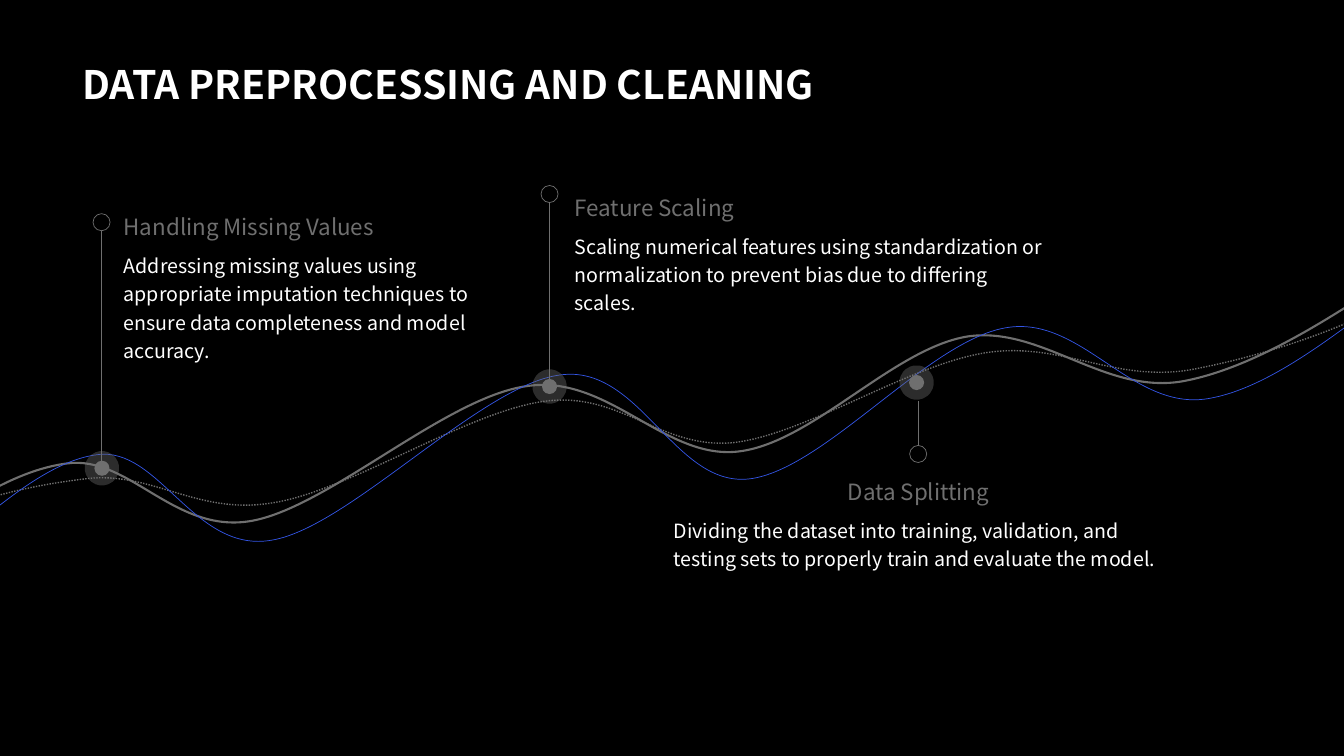
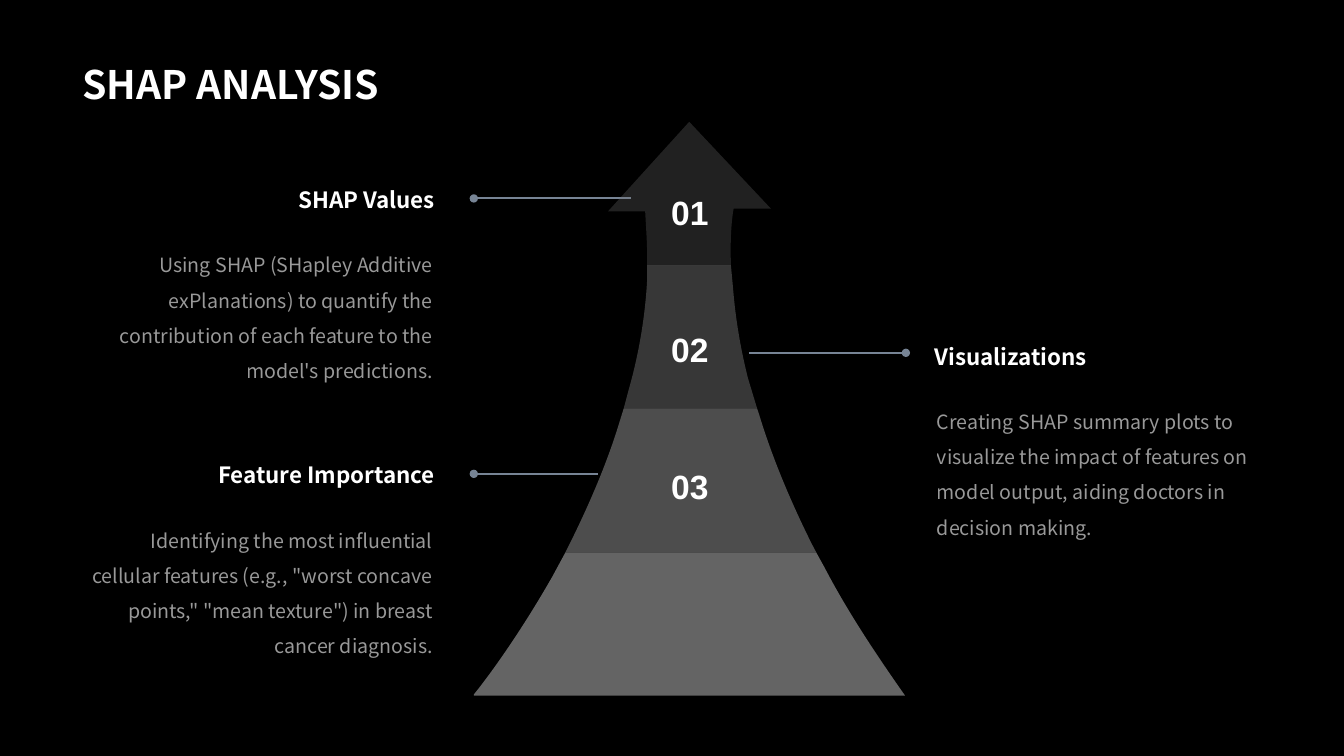
"""Build two dark slides: a preprocessing wave timeline and a SHAP arrow."""
import pptx
import pptx.util
import pptx.dml.color
import pptx.enum.dml
import pptx.enum.shapes
import pptx.enum.text
import pptx.oxml.ns
from lxml import etree

Cm, Pt = pptx.util.Cm, pptx.util.Pt
RGBColor = pptx.dml.color.RGBColor
ALIGN = pptx.enum.text.PP_ALIGN
ANCHOR = pptx.enum.text.MSO_ANCHOR
DASH = pptx.enum.dml.MSO_LINE
OVAL = pptx.enum.shapes.MSO_SHAPE.OVAL
qn = pptx.oxml.ns.qn

BLACK = RGBColor(0x00, 0x00, 0x00)
WHITE = RGBColor(0xFF, 0xFF, 0xFF)
GRAY = RGBColor(0x6F, 0x6F, 0x6F)
SLATE = RGBColor(0x77, 0x84, 0x95)
BLUE = RGBColor(0x33, 0x55, 0xE6)
FONT = "Noto Sans CJK SC"

PREPROCESSING_TITLE = "DATA PREPROCESSING AND CLEANING"
SHAP_TITLE = "SHAP ANALYSIS"

WAVES = [
    (GRAY, 1.5, DASH.SOLID, [
        (-3.15, 14.4),
        (-1.52, 13.13, 0.1, 11.89, 1.68, 11.68),
        (3.25, 11.46, 4.39, 13.46, 6.32, 13.13),
        (8.26, 12.8, 11.23, 10.01, 13.28, 9.73),
        (15.32, 9.42, 16.74, 11.58, 18.59, 11.38),
        (20.45, 11.18, 22.5, 8.79, 24.38, 8.48),
        (26.26, 8.2, 27.86, 9.98, 29.85, 9.6),
        (31.83, 9.22, 34.04, 7.7, 36.27, 6.17),
    ]),
    (GRAY, 1, DASH.ROUND_DOT, [
        (-3.18, 14),
        (-1.55, 12.73, 0.46, 12.27, 2.13, 12.07),
        (3.81, 11.84, 4.95, 13, 6.88, 12.67),
        (8.81, 12.37, 11.79, 10.36, 13.74, 10.11),
        (15.67, 9.86, 16.66, 11.35, 18.52, 11.15),
        (20.35, 10.92, 22.91, 9.19, 24.84, 8.89),
        (26.77, 8.59, 28.12, 9.68, 30.1, 9.3),
        (32.08, 8.92, 34.67, 8.08, 36.88, 6.55),
    ]),
    (BLUE, 0.5, DASH.SOLID, [
        (-2.62, 14.91),
        (-0.99, 13.64, 0.86, 11.66, 2.44, 11.46),
        (4.01, 11.23, 4.9, 13.97, 6.86, 13.61),
        (8.81, 13.28, 12.12, 9.7, 14.12, 9.45),
        (16.13, 9.17, 16.99, 12.27, 18.87, 12.07),
        (20.75, 11.86, 23.39, 8.59, 25.35, 8.26),
        (27.28, 7.92, 28.55, 10.44, 30.53, 10.03),
        (32.51, 9.65, 34.75, 7.47, 36.98, 5.97),
    ]),
]

STEPS = [
    dict(head="Handling Missing Values",
         body="Addressing missing values using appropriate imputation techniques "
              "to ensure data completeness and model accuracy.",
         box=(2.87, 5.25, 10.01), align=ALIGN.LEFT,
         dot=(2.57, 11.8), pin=(2.56, 11.61, 5.6)),
    dict(head="Feature Scaling",
         body="Scaling numerical features using standardization or normalization "
              "to prevent bias due to differing scales.",
         box=(14.23, 4.76, 12.52), align=ALIGN.LEFT,
         dot=(13.85, 9.74), pin=(13.85, 9.55, 4.89)),
    dict(head="Data Splitting",
         body="Dividing the dataset into training, validation, and testing sets "
              "to properly train and evaluate the model.",
         box=(16.73, 11.93, 12.83), align=ALIGN.CENTER,
         dot=(23.1, 9.64), pin=(23.14, 10.1, 11.44)),
]

ARROW_SLICES = [
    (90, "", [
        (14.25, 13.92), (20.57, 13.92), (20.78, 14.3),
        (21.31, 15.32, 22, 16.38, 22.81, 17.53),
        (12.04, 17.53), (11.94, 17.53), (11.94, 17.5),
        (12.07, 17.35, 12.95, 16.23, 13.92, 14.53),
    ]),
    (30, "01", [
        (17.37, 3.07), (19.43, 5.26), (18.49, 5.26),
        (18.49, 5.26, 18.39, 5.74, 18.42, 6.63),
        (18.42, 6.68), (16.31, 6.68), (16.31, 6.48),
        (16.31, 6.1, 16.28, 5.72, 16.26, 5.33),
        (15.32, 5.33),
    ]),
    (50, "02", [
        (16.31, 6.68), (18.42, 6.68), (18.47, 7.21),
        (18.52, 7.85, 18.62, 8.61, 18.85, 9.53),
        (19.08, 10.29), (15.72, 10.29), (15.85, 9.8),
        (16.1, 8.92, 16.26, 7.98, 16.31, 7.04),
    ]),
    (70, "03", [
        (15.72, 10.29), (19.08, 10.29), (19.13, 10.44),
        (19.43, 11.43, 19.86, 12.5, 20.45, 13.69),
        (20.57, 13.92), (14.25, 13.92), (14.35, 13.72),
        (14.78, 12.85, 15.21, 11.89, 15.54, 10.87),
    ]),
]

CARDS = [
    ("SHAP Values",
     "Using SHAP (SHapley Additive exPlanations) to quantify the contribution "
     "of each feature to the model's predictions.",
     (1.83, 4.45, 9.38), ALIGN.RIGHT, (15.9, 11.94, 5)),
    ("Visualizations",
     "Creating SHAP summary plots to visualize the impact of features on model "
     "output, aiding doctors in decision making.",
     (23.31, 8.39, 8.69), ALIGN.LEFT, (18.87, 22.83, 8.89)),
    ("Feature Importance",
     "Identifying the most influential cellular features (e.g., \"worst concave "
     "points,\" \"mean texture\") in breast cancer diagnosis.",
     (1.83, 11.38, 9.38), ALIGN.RIGHT, (15.06, 11.94, 11.94)),
]


def set_alpha(element, percent):
    for colour in element.iter(qn("a:srgbClr")):
        etree.SubElement(colour, qn("a:alpha")).set("val", str(percent * 1000))


def add_text(s, text, box, size, color=WHITE, bold=False, font=FONT, align=ALIGN.LEFT,
             anchor=ANCHOR.TOP, spacing=None, inset=None, alpha=None, grow=True):
    sp = s.shapes.add_textbox(*map(Cm, box))
    tf = sp.text_frame
    tf.word_wrap = True
    tf.vertical_anchor = anchor
    if grow:
        tf.auto_size = pptx.enum.text.MSO_AUTO_SIZE.SHAPE_TO_FIT_TEXT
    if inset is not None:
        tf.margin_left = tf.margin_right = tf.margin_top = tf.margin_bottom = Cm(inset)
    p = tf.paragraphs[0]
    p.alignment = align
    if spacing:
        p.line_spacing = spacing
    r = p.add_run()
    r.text = text
    r.font.name, r.font.size, r.font.bold = font, Pt(size), bold
    r.font.color.rgb = color
    if alpha:
        set_alpha(r._r, alpha)


def add_outline(s, path, close):
    """Draw a path whose pairs are line ends and whose sextets are cubic curves."""
    points = [(Cm(seg[i]), Cm(seg[i + 1])) for seg in path for i in range(0, len(seg), 2)]
    builder = s.shapes.build_freeform(*points[0])
    builder.add_line_segments(points[1:], close=close)
    sp = builder.convert_to_shape()
    sp.shadow.inherit = False
    lines = iter(list(sp._element.iter(qn("a:lnTo"))))
    for segment in path[1:]:
        first = next(lines)
        if len(segment) == 6:
            first.tag = qn("a:cubicBezTo")
            for line in (next(lines), next(lines)):
                first.append(line[0])
                line.getparent().remove(line)
    return sp


def add_circle(s, x, y, diameter, fill, line_width):
    sp = s.shapes.add_shape(OVAL, Cm(x - diameter / 2), Cm(y - diameter / 2),
                            Cm(diameter), Cm(diameter))
    sp.shadow.inherit = False
    sp.fill.solid()
    sp.fill.fore_color.rgb = fill
    sp.line.color.rgb = GRAY
    sp.line.width = Pt(line_width)
    return sp


def add_line(s, start, end, color, width):
    line = s.shapes.add_connector(pptx.enum.shapes.MSO_CONNECTOR.STRAIGHT,
                                  *map(Cm, start + end))
    line.line.color.rgb = color
    line.line.width = Pt(width)
    etree.SubElement(line._element.spPr, qn("a:effectLst"))
    return line


def add_slide(prs, title):
    s = prs.slides.add_slide(prs.slide_layouts[6])
    s.background.fill.solid()
    s.background.fill.fore_color.rgb = BLACK
    add_text(s, title, (1.83, 0, 30.18, 2.84), 28, bold=True,
             anchor=ANCHOR.BOTTOM, spacing=0.9, grow=False)
    return s


def build_preprocessing(prs):
    s = add_slide(prs, PREPROCESSING_TITLE)
    for color, width, dash, path in WAVES:
        wave = add_outline(s, path, close=False)
        wave.fill.background()
        wave.line.color.rgb = color
        wave.line.width = Pt(width)
        wave.line.dash_style = dash
    for step in STEPS:
        dot = add_circle(s, *step["dot"], 0.38, GRAY, 14)
        set_alpha(dot._element.spPr.find(qn("a:ln")), 40)
    for step in STEPS:
        left, top, width = step["box"]
        add_text(s, step["head"], (left, top, width, 0.94), 16, GRAY, align=step["align"])
        add_text(s, step["body"], (left, top + 0.91, width, 1.63), 14, spacing=1.2)
        x, start, end = step["pin"]
        add_line(s, (x, start), (x, end), GRAY, 0.5)
        add_circle(s, x, end, 0.43, BLACK, 0.5)


def build_shap(prs):
    s = add_slide(prs, SHAP_TITLE)
    for head, body, (left, top, width), align, (start, end, y) in CARDS:
        add_text(s, head, (left, top, width, 1.19), 16, bold=True, align=align, inset=0.25)
        add_text(s, body, (left, top + 1.34, width, 4.98), 14, align=align,
                 spacing=1.5, inset=0.3, alpha=60)
        leader = add_line(s, (start, y), (end, y), SLATE, 1.5)
        etree.SubElement(leader._element.spPr.find(qn("a:ln")),
                         qn("a:tailEnd")).set("type", "oval")
    for index, (opacity, number, path) in enumerate(ARROW_SLICES):
        part = add_outline(s, path, close=True)
        part.fill.solid()
        part.fill.fore_color.rgb = GRAY
        part.line.fill.background()
        set_alpha(part._element.spPr, opacity)
        if number:
            add_text(s, number, (16.61, 4.57 + 3.46 * (index - 1), 1.55, 1.52), 24,
                     bold=True, font="Arial", align=ALIGN.CENTER,
                     anchor=ANCHOR.BOTTOM, inset=0.25)


def main():
    prs = pptx.Presentation()
    prs.slide_width, prs.slide_height = Cm(33.87), Cm(19.05)
    build_preprocessing(prs)
    build_shap(prs)
    prs.save("out.pptx")


if __name__ == "__main__":
    main()
